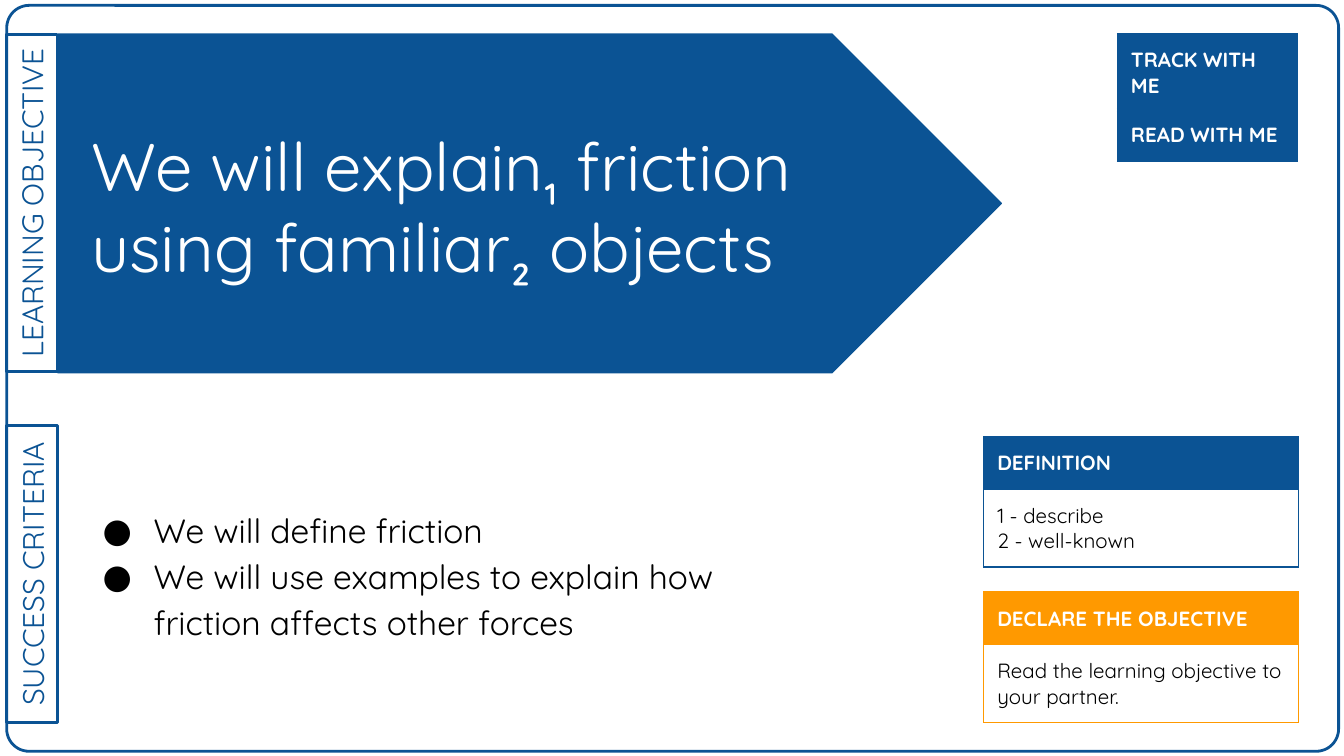
from lxml.etree import SubElement
from pptx import Presentation
from pptx.dml.color import RGBColor
from pptx.enum.shapes import MSO_SHAPE
from pptx.enum.text import MSO_ANCHOR, PP_ALIGN
from pptx.oxml.ns import qn
from pptx.util import Inches, Pt

FONT = "Quicksand"
COLORS = {name: RGBColor.from_string(value) for name, value in {
    "blue": "0B5394", "orange": "FF9900", "white": "FFFFFF", "black": "000000",
}.items()}

deck = Presentation()
deck.slide_width = Inches(10)
deck.slide_height = deck.slide_width * 9 // 16
page = deck.slides.add_slide(deck.slide_layouts[6])
unit = deck.slide_width / 100  # one square cell of a 100-column grid


def grid(*cells):
    return [round(cell * unit) for cell in cells]


def write(holder, lines, size, color, bold=False, bullets=False):
    """Fill a text frame or table cell, one paragraph per line."""
    holder.margin_left = holder.margin_right = round(unit)
    holder.margin_top = holder.margin_bottom = round(unit)
    frame = getattr(holder, "text_frame", holder)
    if frame is holder:
        frame.word_wrap = True
        frame.vertical_anchor = MSO_ANCHOR.MIDDLE
    frame.text = "\n".join(lines)
    for para in frame.paragraphs:
        if bullets:
            para.line_spacing = 1.15
            settings = para._p.get_or_add_pPr()
            settings.set("marL", str(Inches(0.5)))
            settings.set("indent", str(Inches(-0.38)))
            bullet_color = SubElement(settings, qn("a:buClr"))
            SubElement(bullet_color, qn("a:srgbClr"), val=str(COLORS[color]))
            SubElement(settings, qn("a:buFont"), typeface=FONT)
            SubElement(settings, qn("a:buChar"), char="●")
        para.font.name = FONT
        para.font.size = Pt(size)
        para.font.bold = bold
        para.font.color.rgb = COLORS[color]


# Frame, side tabs and arrow banner, from back to front
outlines = [
    (MSO_SHAPE.ROUNDED_RECTANGLE, (0.5, 0.4, 99.1, 55.5), 1.5, None),
    (MSO_SHAPE.RECTANGLE, (-10.2, 13.2, 25.1, 3.8), 1.5, "LEARNING OBJECTIVE"),
    (MSO_SHAPE.PENTAGON, (4.3, 2.53, 70.2, 25.2), 0.75, None),
    (MSO_SHAPE.RECTANGLE, (-8.65, 40.8, 22.1, 3.8), 1.5, "SUCCESS CRITERIA"),
]
for kind, place, weight, label in outlines:
    shape = page.shapes.add_shape(kind, *grid(*place))
    shape.shadow.inherit = False
    shape.line.color.rgb = COLORS["blue"]
    shape.line.width = Pt(weight)
    shape.fill.background()
    if kind == MSO_SHAPE.ROUNDED_RECTANGLE:
        shape.adjustments[0] = 0.03
    elif kind == MSO_SHAPE.PENTAGON:
        shape.fill.solid()
        shape.fill.fore_color.rgb = COLORS["blue"]
    if label:
        shape.rotation = 270
        write(shape.text_frame, [label], 16, "blue")
        shape.text_frame.paragraphs[0].alignment = PP_ALIGN.CENTER

# Success criteria and learning objective
criteria = page.shapes.add_textbox(*grid(5.45, 31.65, 56.8, 22))
write(criteria.text_frame, [
    "We will define friction",
    "We will use examples to explain how friction affects other forces",
], 18, "black", bullets=True)

objective = page.shapes.add_textbox(*grid(5.8, 5.2, 56.8, 20.1))
write(objective.text_frame,
      ["We will explain₁ friction using familiar₂ objects"], 36, "white")

# Cards: left, top, width, colour, then row heights with their lines
header, body = 3.9, 5.8
cards = [
    (73.2, 44.05, 23.4, "orange", [
        (header, ["DECLARE THE OBJECTIVE"]),
        (body, ["Read the learning objective to your partner."])]),
    (73.2, 32.5, 23.4, "blue", [
        (header, ["DEFINITION"]),
        (body, ["1 - describe", "2 - well-known"])]),
    (83.15, 2.5, 13.4, "blue", [(body, ["TRACK WITH ME"])]),
    (83.15, 8.1, 13.4, "blue", [(header, ["READ WITH ME"])]),
]
for left, top, width, color, rows in cards:
    height = sum(row_height for row_height, lines in rows)
    table = page.shapes.add_table(len(rows), 1, *grid(left, top, width, height)).table
    table.first_row = table.horz_banding = False
    for index, (row_height, lines) in enumerate(rows):
        table.rows[index].height = round(row_height * unit)
        cell = table.cell(index, 0)
        is_header = index == 0
        write(cell, lines, 11, "white" if is_header else "black", is_header)
        borders = cell._tc.get_or_add_tcPr()
        for side in ("lnL", "lnR", "lnT", "lnB"):
            border = SubElement(borders, qn(f"a:{side}"), w=str(Pt(0.75)))
            paint = SubElement(border, qn("a:solidFill"))
            SubElement(paint, qn("a:srgbClr"), val=str(COLORS[color]))
        if is_header:
            cell.fill.solid()
            cell.fill.fore_color.rgb = COLORS[color]
        else:
            cell.fill.background()

deck.save("out.pptx")
